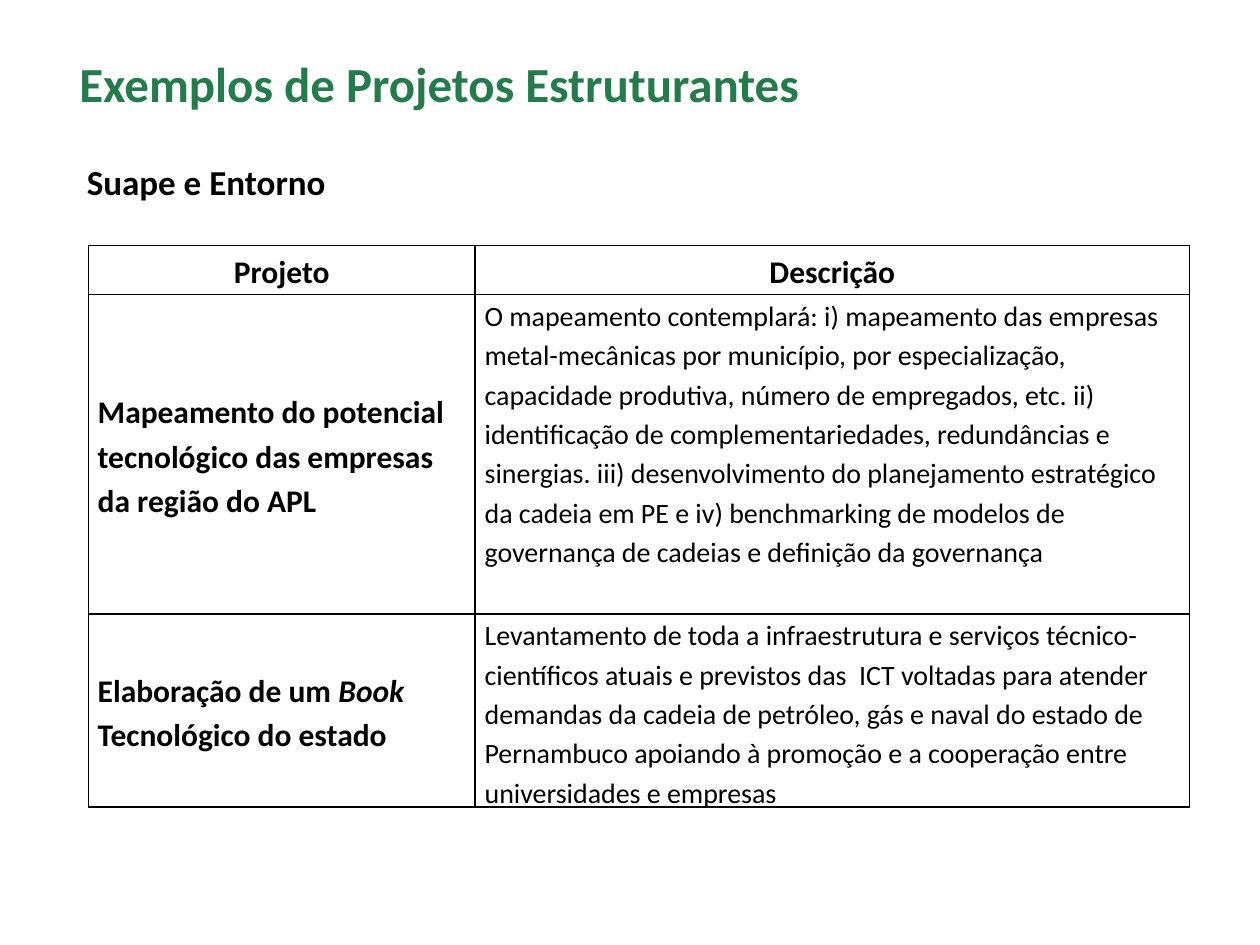
from dataclasses import dataclass

from lxml.etree import SubElement
from pptx import Presentation
from pptx.dml.color import RGBColor
from pptx.enum.text import MSO_ANCHOR, PP_ALIGN
from pptx.oxml.ns import qn
from pptx.util import Cm, Pt

COLORS = {"title": "267B4C", "text": "000000", "border": "000000"}
FONT = "Calibri"


@dataclass
class Run:
    text: str
    size: int
    bold: bool = True
    italic: bool = False
    color: str = "text"


@dataclass
class CellText:
    runs: list[Run]
    align: PP_ALIGN = PP_ALIGN.LEFT
    anchor: MSO_ANCHOR = MSO_ANCHOR.MIDDLE


@dataclass
class TextBox:
    run: Run
    box: tuple[float, float, float, float]
    frame_format: dict
    paragraph_format: dict


def set_attributes(target, values: dict) -> None:
    for name, value in values.items():
        setattr(target, name, value)


def add_runs(paragraph, runs: list[Run]) -> None:
    for item in runs:
        run = paragraph.add_run()
        run.text = item.text
        set_attributes(run.font, {"name": FONT, "size": Pt(item.size),
                                  "bold": item.bold, "italic": item.italic})
        run.font.color.rgb = RGBColor.from_string(COLORS[item.color])


def add_text_box(slide, item: TextBox) -> None:
    frame = slide.shapes.add_textbox(*map(Cm, item.box)).text_frame
    set_attributes(frame, {"word_wrap": True, **item.frame_format})
    paragraph = frame.paragraphs[0]
    set_attributes(paragraph, item.paragraph_format)
    add_runs(paragraph, [item.run])


def add_borders(cell) -> None:
    properties = cell._tc.get_or_add_tcPr()
    for position, side in enumerate(("a:lnL", "a:lnR", "a:lnT", "a:lnB")):
        line = properties.makeelement(qn(side), {"w": str(Pt(1))})
        fill = SubElement(line, qn("a:solidFill"))
        SubElement(fill, qn("a:srgbClr"), val=COLORS["border"])
        properties.insert(position, line)


def fill_cell(cell, content: CellText) -> None:
    set_attributes(cell, {"vertical_anchor": content.anchor,
                          "margin_left": Cm(0.19), "margin_right": Cm(0.19),
                          "margin_top": 0, "margin_bottom": 0})
    cell.fill.background()
    add_borders(cell)
    paragraph = cell.text_frame.paragraphs[0]
    set_attributes(paragraph, {"alignment": content.align, "line_spacing": 1.15,
                               "space_before": Pt(6), "space_after": Pt(6)})
    add_runs(paragraph, content.runs)


def add_project_table(slide, rows: list[list[CellText]]) -> None:
    widths, heights = (7.8, 14.4), (0.99, 6.44, 3.89)
    table = slide.shapes.add_table(len(heights), len(widths), Cm(1.78), Cm(4.95),
                                   Cm(sum(widths)), Cm(sum(heights))).table
    set_attributes(table, {"first_row": False, "horz_banding": False})
    for column, width in zip(table.columns, widths):
        column.width = Cm(width)
    for row, height, contents in zip(table.rows, heights, rows):
        row.height = Cm(height)
        for cell, content in zip(row.cells, contents):
            fill_cell(cell, content)


TEXT_BOXES = [
    TextBox(Run("Suape e Entorno", 20), (1.5, 3.12, 22.6, 1.12), {}, {}),
    TextBox(Run("Exemplos de Projetos Estruturantes", 28, color="title"),
            (1.09, 0.71, 15.8, 2.18),
            {"vertical_anchor": MSO_ANCHOR.MIDDLE, "margin_left": Cm(0.51)},
            {"line_spacing": Pt(26)}),
]

ROWS = [
    [CellText([Run(heading, 18)], PP_ALIGN.CENTER)
     for heading in ("Projeto", "Descrição")],
    [CellText([Run("Mapeamento do potencial tecnológico das empresas "
                   "da região do APL", 18)]),
     CellText([Run("O mapeamento contemplará: i) mapeamento das empresas "
                   "metal-mecânicas por município, por especialização, "
                   "capacidade produtiva, número de empregados, etc. ii) "
                   "identificação de complementariedades, redundâncias e "
                   "sinergias. iii) desenvolvimento do planejamento estratégico "
                   "da cadeia em PE e iv) benchmarking de modelos de "
                   "governança de cadeias e definição da governança", 16, False)],
              anchor=MSO_ANCHOR.TOP)],
    [CellText([Run("Elaboração de um ", 18), Run("Book", 18, italic=True),
               Run(" Tecnológico do estado", 18)]),
     CellText([Run("Levantamento de toda a infraestrutura e serviços "
                   "técnico-científicos atuais e previstos das  ICT voltadas "
                   "para atender demandas da cadeia de petróleo, gás e naval do "
                   "estado de Pernambuco apoiando à promoção e a cooperação "
                   "entre  universidades e empresas", 16, False)])],
]


def main() -> None:
    presentation = Presentation()
    set_attributes(presentation, {"slide_width": Cm(25.4), "slide_height": Cm(19.05)})
    slide = presentation.slides.add_slide(presentation.slide_layouts[6])

    # Heading and subheading
    for item in TEXT_BOXES:
        add_text_box(slide, item)

    # Projects and their descriptions
    add_project_table(slide, ROWS)

    presentation.save("out.pptx")


if __name__ == "__main__":
    main()
